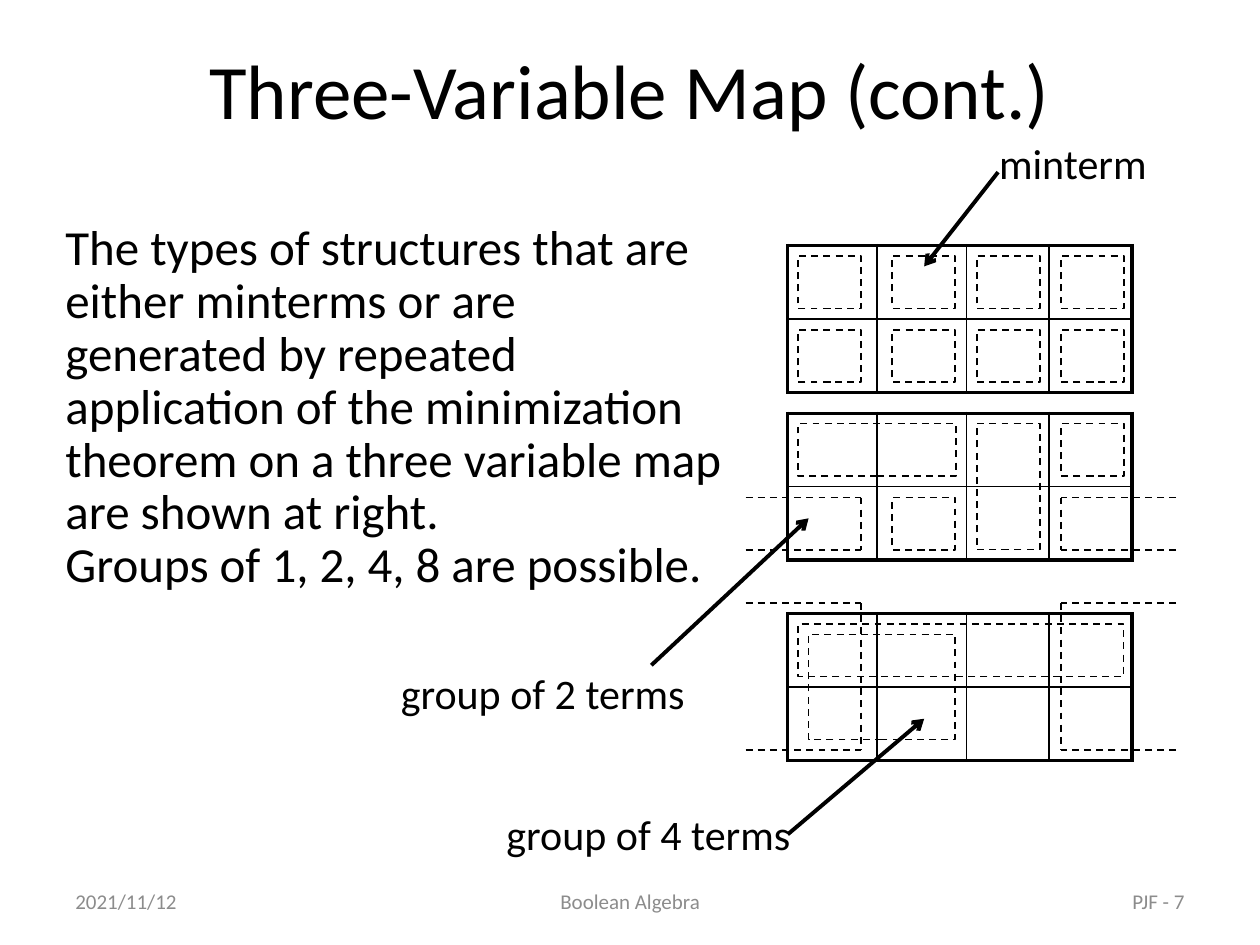
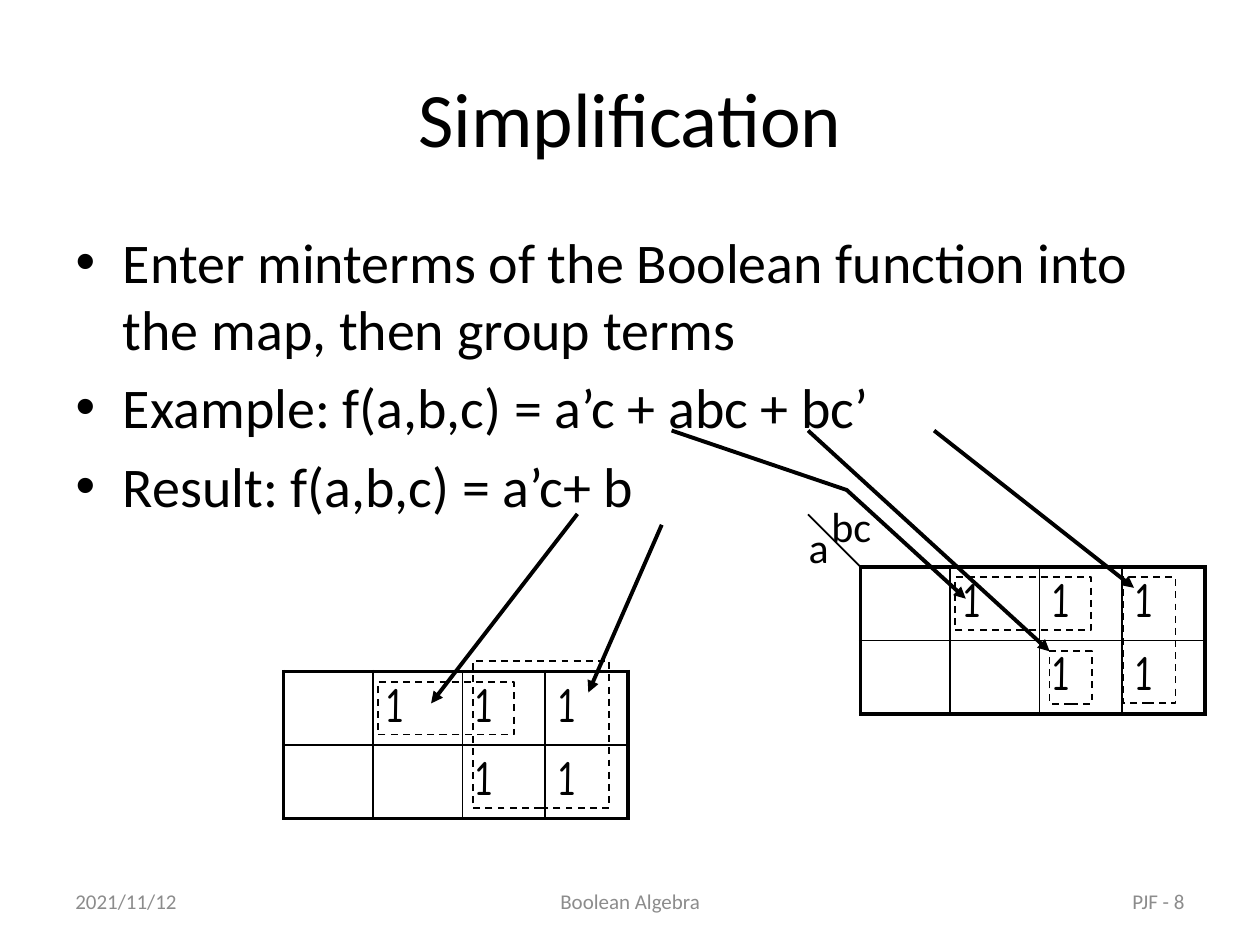
import lxml.etree
import pptx
import pptx.dml.color
import pptx.enum.dml
import pptx.enum.shapes
import pptx.enum.text
import pptx.oxml.ns
import pptx.util

Cm, Pt, qn = pptx.util.Cm, pptx.util.Pt, pptx.oxml.ns.qn
ALIGN = pptx.enum.text.PP_ALIGN
MIDDLE = pptx.enum.text.MSO_ANCHOR.MIDDLE
BLACK, GREY = "000000", "8C8C8C"
FONT, DIGIT = "Calibri", "Comic Neue"
COLS, ROW = (1.8, 1.8, 1.67, 1.67), 1.48
THICK, THIN = 2.25, 1
SPOTS = (0.21, 2.11, 3.81, 5.51)
RISES = (0.21, 1.7)
WIDE, HIGH = 1.27, 1.06
ONES = ((1, 0), (2, 0), (3, 0), (2, 1), (3, 1))


def color(text):
    """Turn a hex string into a colour."""
    return pptx.dml.color.RGBColor.from_string(text)


def style(para, size, tint=BLACK, font=FONT):
    """Set the font of a paragraph."""
    para.font.name, para.font.size = font, Pt(size)
    para.font.color.rgb = color(tint)


def stroke(shape, width, dash=False, head=None):
    """Give a shape or line a black stroke."""
    shape.line.color.rgb = color(BLACK)
    shape.line.width = Pt(width)
    if dash:
        shape.line.dash_style = pptx.enum.dml.MSO_LINE.DASH
    if head:
        line = shape.element.spPr.find(qn("a:ln"))
        lxml.etree.SubElement(line, qn("a:tailEnd"), type=head)


def link(shapes, spot, ends, width, dash=False, head=None):
    """Draw a straight line between two points relative to a spot."""
    x, y = spot
    left, top, right, low = ends
    line = shapes.add_connector(
        pptx.enum.shapes.MSO_CONNECTOR.STRAIGHT,
        Cm(x + left), Cm(y + top), Cm(x + right), Cm(y + low))
    stroke(line, width, dash, head)
    lxml.etree.SubElement(line.element.spPr, qn("a:effectLst"))


def label(slide, spot, size, words, points=24, tint=BLACK):
    """Place a text box and return its frame."""
    box = slide.shapes.add_textbox(*map(Cm, spot + size))
    frame = box.text_frame
    frame.word_wrap = True
    frame.text = words
    style(frame.paragraphs[0], points, tint)
    return frame


def tag(slide, spot, move, width, words):
    """Place a label relative to a map."""
    label(slide, (spot[0] + move[0], spot[1] + move[1]), (width, 1.27), words)


def edge(cell, col, row):
    """Draw cell borders, thick along the outside of the map."""
    props = cell._tc.get_or_add_tcPr()
    outer = (("L", col == 0), ("R", col == 3), ("T", row == 0), ("B", row == 1))
    for place, (side, thick) in enumerate(outer):
        width = Pt(THICK if thick else THIN)
        line = lxml.etree.Element(qn("a:ln" + side), w=str(width))
        fill = lxml.etree.SubElement(line, qn("a:solidFill"))
        lxml.etree.SubElement(fill, qn("a:srgbClr"), val=BLACK)
        props.insert(place, line)


def grid(slide, spot, marks=()):
    """Draw a two by four map with a 1 in each marked cell."""
    frame = slide.shapes.add_table(
        2, 4, *map(Cm, spot), Cm(sum(COLS)), Cm(2 * ROW))
    table = frame.table
    table.first_row = table.horz_banding = False
    for col, width in enumerate(COLS):
        table.columns[col].width = Cm(width)
    for row in range(2):
        table.rows[row].height = Cm(ROW)
        for col in range(4):
            cell = table.cell(row, col)
            cell.fill.background()
            edge(cell, col, row)
            if (col, row) in marks:
                cell.text = "1"
                style(cell.text_frame.paragraphs[0], 28, font=DIGIT)


def loops(slide, spot, boxes):
    """Draw dashed boxes relative to a map."""
    x, y = spot
    for left, top, width, height in boxes:
        box = slide.shapes.add_shape(
            pptx.enum.shapes.MSO_SHAPE.RECTANGLE,
            Cm(x + left), Cm(y + top), Cm(width), Cm(height))
        box.shadow.inherit = False
        box.fill.background()
        stroke(box, THIN, True)


def wraps(slide, spot, top, low):
    """Draw the open dashed brackets of a group that wraps round a map."""
    for far, near in ((-0.85, 1.48), (7.83, 5.51)):
        group = slide.shapes.add_group_shape().shapes
        for ends in ((far, low, near, low), (far, top, near, top),
                     (near, top, near, low)):
            link(group, spot, ends, THIN, True)


def path(slide, spot, points):
    """Draw a bent arrow through points relative to a map."""
    dots = [(Cm(spot[0] + x), Cm(spot[1] + y)) for x, y in points]
    form = slide.shapes.build_freeform(*dots[0])
    form.add_line_segments(dots[1:], close=False)
    bend = form.convert_to_shape()
    bend.shadow.inherit = False
    bend.fill.background()
    stroke(bend, THICK, head="triangle")


def base(deck, layout, words, box, page):
    """Add a slide with its title and footers."""
    slide = deck.slides.add_slide(deck.slide_layouts[layout])
    title = slide.shapes.title
    title.left, title.top, title.width, title.height = map(Cm, box)
    title.text_frame.text = words
    title.text_frame.vertical_anchor = MIDDLE
    style(title.text_frame.paragraphs[0], 44)
    for left, width, note, align in (
            (1.27, 5.92, "2021/11/12", ALIGN.LEFT),
            (8.68, 8.05, "Boolean Algebra", ALIGN.CENTER),
            (18.21, 5.92, f"PJF - {page}", ALIGN.RIGHT)):
        frame = label(slide, (left, 17.65), (width, 1.02), note, 12, GREY)
        frame.vertical_anchor = MIDDLE
        frame.paragraphs[0].alignment = align
    return slide


def groups(deck):
    """Build the slide on the groups a three-variable map allows."""
    slide = base(deck, 5, "Three-Variable Map (cont.)", (0, 0.2, 25.4, 3.18), 7)
    one, two, four = ((15.88, top) for top in (4.95, 8.33, 12.37))
    grid(slide, one)
    loops(slide, one, [(x, y, WIDE, HIGH) for y in RISES for x in SPOTS])
    grid(slide, two)
    loops(slide, two, (
        (SPOTS[0], RISES[0], 3.18, HIGH), (SPOTS[2], RISES[0], WIDE, 2.54),
        (SPOTS[3], RISES[0], WIDE, HIGH), (SPOTS[1], RISES[1], WIDE, HIGH)))
    wraps(slide, two, RISES[1], RISES[1] + HIGH)
    grid(slide, four)
    loops(slide, four, ((0.21, 0.21, 6.56, HIGH), (0.42, 0.42, 2.96, 2.12)))
    wraps(slide, four, -0.21, 2.75)
    frame = label(
        slide, (1.07, 4.37), (13.76, 10.87),
        "The types of structures that are either minterms or are generated by "
        "repeated application of the minimization theorem on a three variable "
        "map are shown at right.\vGroups of 1, 2, 4, 8 are possible.", 28)
    frame.paragraphs[0].line_spacing = 0.9
    for spot, ends, move, width, words in (
            (one, (4.24, -1.48, 2.75, 0.42), (4.01, -2.31), 3.78, "minterm"),
            (two, (-2.75, 5.08, 0.42, 2.12), (-8.05, 5), 7.19,
             "group of 2 terms"),
            (four, (0, 4.45, 2.75, 2.12), (-5.92, 3.81), 7.19,
             "group of 4 terms")):
        link(slide.shapes, spot, ends, THICK, head="arrow")
        tag(slide, spot, move, width, words)


def bullets(slide, box, lines):
    """Fill the body placeholder with a list."""
    body = slide.placeholders[1]
    body.left, body.top, body.width, body.height = map(Cm, box)
    body.text_frame.text = "\n".join(lines)
    for place, para in enumerate(body.text_frame.paragraphs):
        para.space_before = Pt(6.4 if place else 0)
        style(para, 32)


def simple(deck):
    """Build the slide that simplifies a function with a map."""
    slide = base(deck, 1, "Simplification", (1.27, 0.76, 22.86, 3.18), 8)
    bullets(slide, (1.27, 4.45, 22.86, 12.57), (
        "Enter minterms of the Boolean function into the map, then group terms",
        "Example: f(a,b,c) = a’c + abc + bc’",
        "Result: f(a,b,c) = a’c+ b"))
    start, end = (17.35, 11.43), (5.72, 13.54)
    pair = (1.9, 0.21, 2.75, HIGH)
    grid(slide, start, ONES)
    tag(slide, start, (-1.3, -1.04), 0.94, "a")
    tag(slide, start, (-0.84, -1.47), 1.45, "bc")
    link(slide.shapes, start, (0, 0, -1.06, -1.06), THIN)
    loops(slide, start, (
        pair, (3.81, 1.7, 0.85, HIGH), (5.29, 0.21, 1.06, 2.54)))
    for ends in ((1.48, -2.75, 5.51, 0.42), (-1.06, -2.75, 3.81, 1.7)):
        link(slide.shapes, start, ends, THICK, head="triangle")
    path(slide, start, ((-3.81, -2.75), (-0.28, -1.55), (2.12, 0.64)))
    grid(slide, end, ONES)
    loops(slide, end, (pair, (3.81, -0.21, 2.75, 2.96)))
    for ends in ((5.92, -3.18, 2.97, 0.64), (7.62, -2.96, 6.14, 0.42)):
        link(slide.shapes, end, ends, THICK, head="triangle")


def main():
    """Build and save the slides."""
    deck = pptx.Presentation()
    deck.slide_width, deck.slide_height = Cm(25.4), Cm(19.05)
    groups(deck)
    simple(deck)
    deck.save("out.pptx")


if __name__ == "__main__":
    main()
